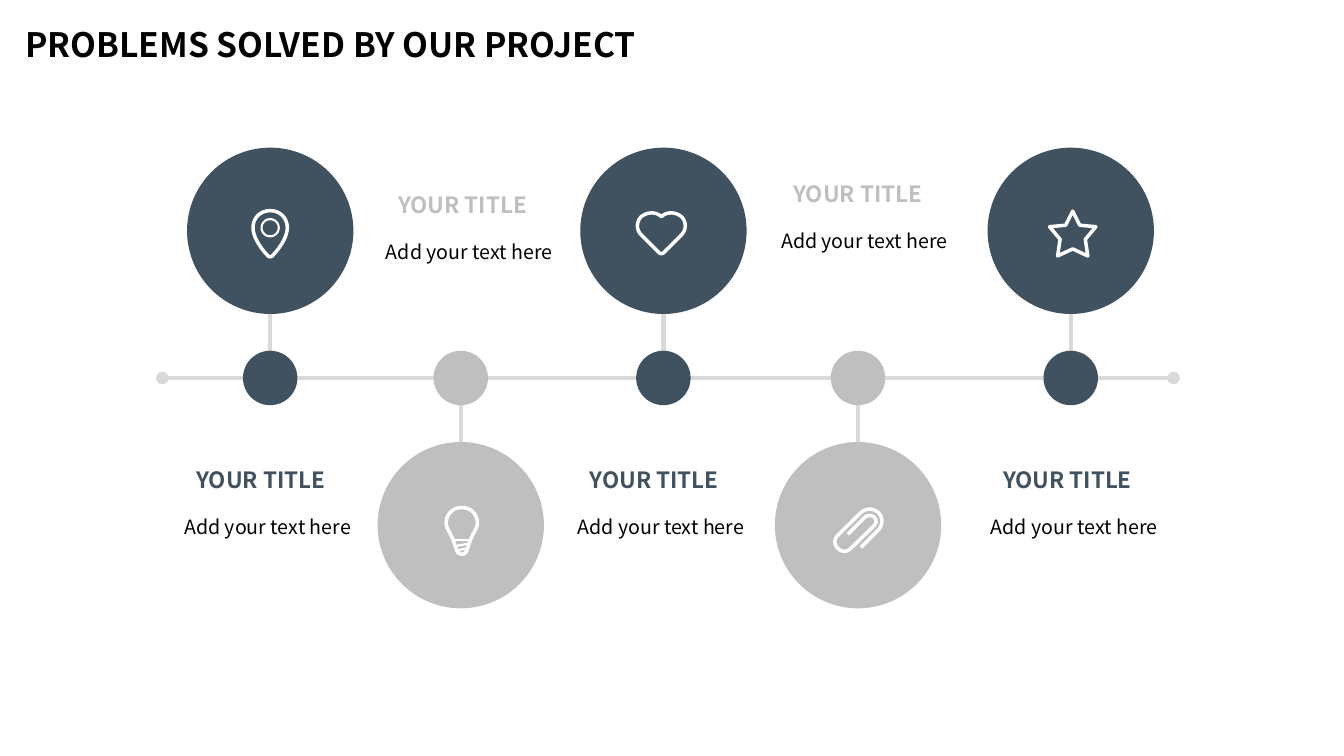
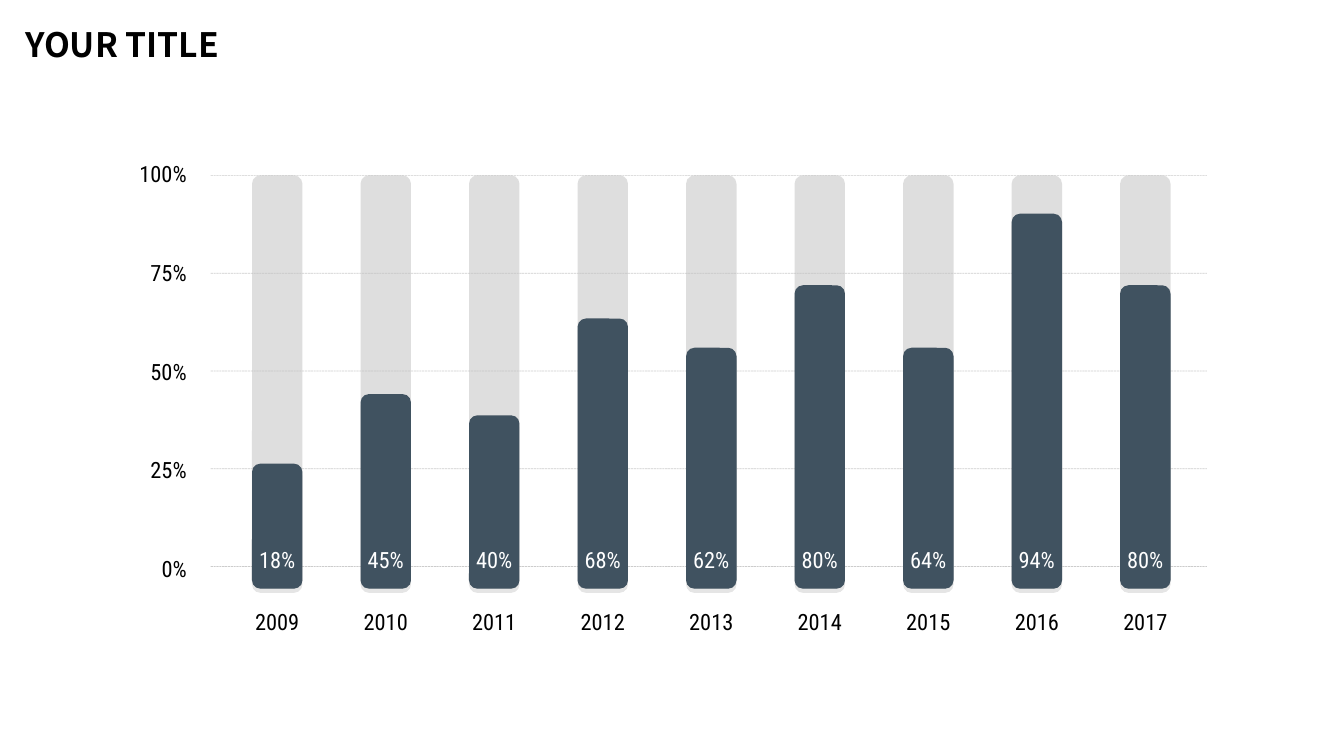
from lxml.etree import SubElement
from pptx import Presentation
from pptx.dml.color import RGBColor
from pptx.enum.dml import MSO_LINE
from pptx.enum.shapes import MSO_CONNECTOR, MSO_SHAPE
from pptx.enum.text import MSO_ANCHOR, MSO_AUTO_SIZE, PP_ALIGN
from pptx.oxml.ns import qn
from pptx.util import Inches, Pt

SLATE = RGBColor(0x40, 0x52, 0x60)
SILVER = RGBColor(0xBF, 0xBF, 0xBF)
RAIL = RGBColor(0xD9, 0xD9, 0xD9)
BLACK = RGBColor(0, 0, 0)
WHITE = RGBColor(0xFF, 0xFF, 0xFF)
HEADING_FONT = "Noto Sans CJK SC"
CHART_FONT = "Roboto Condensed"

PIN = [[(-2, 25), (-8, 19, -17, 7, -17, -3), (-17, -13, -9.5, -20, 0, -20),
        (9.5, -20, 17, -13, 17, -3), (17, 7, 8, 19, 2, 25), (1, 26, -1, 26, -2, 25)],
       [(0, -11.5), (4.5, -11.5, 8.5, -8, 8.5, -3), (8.5, 2, 4.5, 5.5, 0, 5.5),
        (-4.5, 5.5, -8.5, 2, -8.5, -3), (-8.5, -8, -4.5, -11.5, 0, -11.5)]]
BULB = [[(-8.5, 9), (-11, 2, -15.5, -3, -15.5, -8), (-15.5, -17, -9, -23.5, 0, -23.5),
         (9, -23.5, 15.5, -17, 15.5, -8), (15.5, -3, 11, 2, 8.5, 9), (5, 19),
         (4, 24, -4, 24, -5, 19), (-8.5, 9)],
        [(-8, 8.5), (8, 8.5)], [(-5, 14.5), (6, 12.5)], [(-4, 19), (5, 17)]]
HEART = [[(0, -16), (5, -21, 14, -21, 20, -16), (25, -11, 25, -3, 20, 2), (2.5, 19.5),
          (1, 21, -1, 21, -2.5, 19.5), (-20, 2), (-25, -3, -25, -11, -20, -16),
          (-14, -21, -5, -21, 0, -16)]]
CLIP = [[(3, 18), (20, 1), (25, -4, 25, -12, 20, -16.5), (15, -21, 8, -21, 3, -16.5),
         (-20, 6), (-24, 10, -24, 15, -20, 19), (-16, 23, -11, 23, -7, 19), (16, -3.5),
         (18.5, -6, 18.5, -9.5, 16, -12), (13.5, -14, 9.5, -14, 7, -12), (-10, 5)]]
STAR = [[(0, -22.5), (7, -8.5), (23, -7), (12.5, 5.5), (15, 22), (0, 15),
         (-15, 22), (-12.5, 5.5), (-23, -7), (-7, -8.5), (0, -22.5)]]

MILESTONES = [
    (2.68, True, PIN, (2.68, 2.29), (1.85, 4.61)),
    (4.57, False, BULB, (4.58, 5.27), (3.85, 1.88)),
    (6.58, True, HEART, (6.56, 2.31), (5.75, 4.61)),
    (8.51, False, CLIP, (8.51, 5.25), (7.77, 1.77)),
    (10.62, True, STAR, (10.64, 2.32), (9.85, 4.61)),
]
RAIL_Y, BUBBLE_OFFSET, BUBBLE_SIZE, NODE_SIZE = 3.75, 1.46, 1.65, 0.54

BARS = [("2009", "18%", 1.24), ("2010", "45%", 1.93), ("2011", "40%", 1.72),
        ("2012", "68%", 2.68), ("2013", "62%", 2.39), ("2014", "80%", 3.01),
        ("2015", "64%", 2.39), ("2016", "94%", 3.72), ("2017", "80%", 3.01)]
TICKS = ["100%", "75%", "50%", "25%", "0%"]
BAR_LEFT, BAR_STEP, BAR_WIDTH = 2.5, (11.11 - 2.5) / 8, 0.5
BAR_TOP, BAR_BOTTOM = 1.74, 5.84


def write(frame, text, font, size, color, bold=False, align=PP_ALIGN.LEFT, spacing=1.0):
    paragraph = frame.paragraphs[0]
    paragraph.alignment = align
    paragraph.line_spacing = spacing
    run = paragraph.add_run()
    run.text = text
    run.font.name = font
    run.font.size = Pt(size)
    run.font.bold = bold
    run.font.color.rgb = color


def add_label(slide, left, top, width, height, text, *style, margin=0.1, **options):
    box = slide.shapes.add_textbox(Inches(left), Inches(top), Inches(width), Inches(height))
    frame = box.text_frame
    frame.word_wrap = True
    frame.margin_left = frame.margin_right = Inches(margin)
    write(frame, text, *style, **options)


def add_titled_slide(presentation, text):
    slide = presentation.slides.add_slide(presentation.slide_layouts[5])
    title = slide.shapes.title
    title.left, title.top = Inches(0.15), Inches(0.19)
    title.width, title.height = Inches(7.86), Inches(0.5)
    frame = title.text_frame
    frame.auto_size = MSO_AUTO_SIZE.NONE
    frame.vertical_anchor = MSO_ANCHOR.TOP
    write(frame, text, HEADING_FONT, 24, BLACK, bold=True)
    return slide


def set_alpha(fill, percent):
    color = fill._xPr.find(qn("a:solidFill"))[0]
    SubElement(color, qn("a:alpha"), val=str(percent * 1000))


def add_line(slide, x1, y1, x2, y2, color, width):
    line = slide.shapes.add_connector(
        MSO_CONNECTOR.STRAIGHT, Inches(x1), Inches(y1), Inches(x2), Inches(y2))
    line.line.color.rgb = color
    line.line.width = Pt(width)
    SubElement(line._element.spPr, qn("a:effectLst"))
    return line


def add_solid(slide, preset, left, top, width, height, color):
    shape = slide.shapes.add_shape(
        preset, Inches(left), Inches(top), Inches(width), Inches(height))
    shape.fill.solid()
    shape.fill.fore_color.rgb = color
    shape.line.fill.background()
    shape.shadow.inherit = False
    return shape


def add_circle(slide, x, y, size, color):
    add_solid(slide, MSO_SHAPE.OVAL, x - size / 2, y - size / 2, size, size, color)


def trace(segments, steps=10):
    points = [segments[0]]
    for segment in segments[1:]:
        if len(segment) == 2:
            points.append(segment)
            continue
        start, controls = points[-1], segment
        for step in range(1, steps + 1):
            t = step / steps
            u = 1 - t
            points.append(tuple(
                u ** 3 * start[axis] + 3 * u * u * t * controls[axis]
                + 3 * u * t * t * controls[axis + 2] + t ** 3 * controls[axis + 4]
                for axis in (0, 1)))
    return points


def add_icon(slide, strokes, x, y):
    for index, segments in enumerate(strokes):
        points = [(Inches(x + dx / 100), Inches(y + dy / 100)) for dx, dy in trace(segments)]
        builder = slide.shapes.build_freeform(*points[0])
        builder.add_line_segments(points[1:], close=segments[0] == segments[-1])
        shape = builder.convert_to_shape()
        shape.fill.background()
        shape.line.color.rgb = WHITE
        shape.line.width = Pt(1.5 if index else 2.5)
        SubElement(shape.line._get_or_add_ln(), qn("a:round"))
        shape.shadow.inherit = False


def build_timeline(presentation):
    slide = add_titled_slide(presentation, "PROBLEMS SOLVED BY OUR PROJECT")
    rail = add_line(slide, 1.61, RAIL_Y, 11.64, RAIL_Y, RAIL, 3)
    for end in ("a:headEnd", "a:tailEnd"):
        SubElement(rail.line._get_or_add_ln(), qn(end), type="oval")
    for x, above, icon, icon_center, (left, top) in MILESTONES:
        direction = -1 if above else 1
        color = SLATE if above else SILVER
        bubble_y = RAIL_Y + direction * BUBBLE_OFFSET
        add_line(slide, x, RAIL_Y, x, bubble_y - direction * BUBBLE_SIZE / 2, RAIL, 3)
        add_circle(slide, x, bubble_y, BUBBLE_SIZE, color)
        add_circle(slide, x, RAIL_Y, NODE_SIZE, color)
        add_icon(slide, icon, *icon_center)
        add_label(slide, left, top, 1.61, 0.49, "YOUR TITLE", HEADING_FONT, 16, color,
                  bold=True, spacing=0.9)
        add_label(slide, left - 0.29, top + 0.45, 2.19, 0.34, "Add your text here",
                  HEADING_FONT, 14, BLACK, align=PP_ALIGN.CENTER)


def add_bar(slide, left, height, value):
    track = add_solid(slide, MSO_SHAPE.ROUNDED_RECTANGLE, left, BAR_TOP,
                      BAR_WIDTH, BAR_BOTTOM - BAR_TOP, SILVER)
    set_alpha(track.fill, 50)
    bar = add_solid(slide, MSO_SHAPE.ROUNDED_RECTANGLE, left, BAR_BOTTOM - height,
                    BAR_WIDTH, height, SLATE)
    effects = bar._element.spPr.find(qn("a:effectLst"))
    shadow = SubElement(effects, qn("a:outerShdw"), blurRad="0", dist=str(Pt(3)),
                        dir="5400000", algn="t", rotWithShape="0")
    black = SubElement(shadow, qn("a:srgbClr"), val=str(BLACK))
    SubElement(black, qn("a:alpha"), val="10000")
    frame = bar.text_frame
    frame.word_wrap = False
    frame.vertical_anchor = MSO_ANCHOR.BOTTOM
    frame.margin_top = frame.margin_bottom = Inches(0.13)
    write(frame, value, CHART_FONT, 16, WHITE, align=PP_ALIGN.CENTER)


def build_bars(presentation):
    slide = add_titled_slide(presentation, "YOUR TITLE")
    for index, tick in enumerate(TICKS):
        y = BAR_TOP + 0.97 * index
        grid = add_line(slide, 2.09, y, 11.97, y, BLACK, 0.5)
        grid.line.dash_style = MSO_LINE.SQUARE_DOT
        set_alpha(grid.line.fill, 20)
        add_label(slide, 1.02, 1.56 + 0.98 * index, 0.93, 0.36, tick, CHART_FONT, 16,
                  BLACK, align=PP_ALIGN.RIGHT, spacing=0.95)
    for index, (year, value, height) in enumerate(BARS):
        left = BAR_LEFT + BAR_STEP * index
        add_bar(slide, left, height, value)
        add_label(slide, left, 6, BAR_WIDTH, 0.37, year, CHART_FONT, 16, BLACK,
                  margin=0, align=PP_ALIGN.CENTER, spacing=0.95)


def main():
    presentation = Presentation()
    presentation.slide_width = Inches(13.33)
    presentation.slide_height = Inches(7.5)
    build_timeline(presentation)
    build_bars(presentation)
    presentation.save("out.pptx")


if __name__ == "__main__":
    main()
